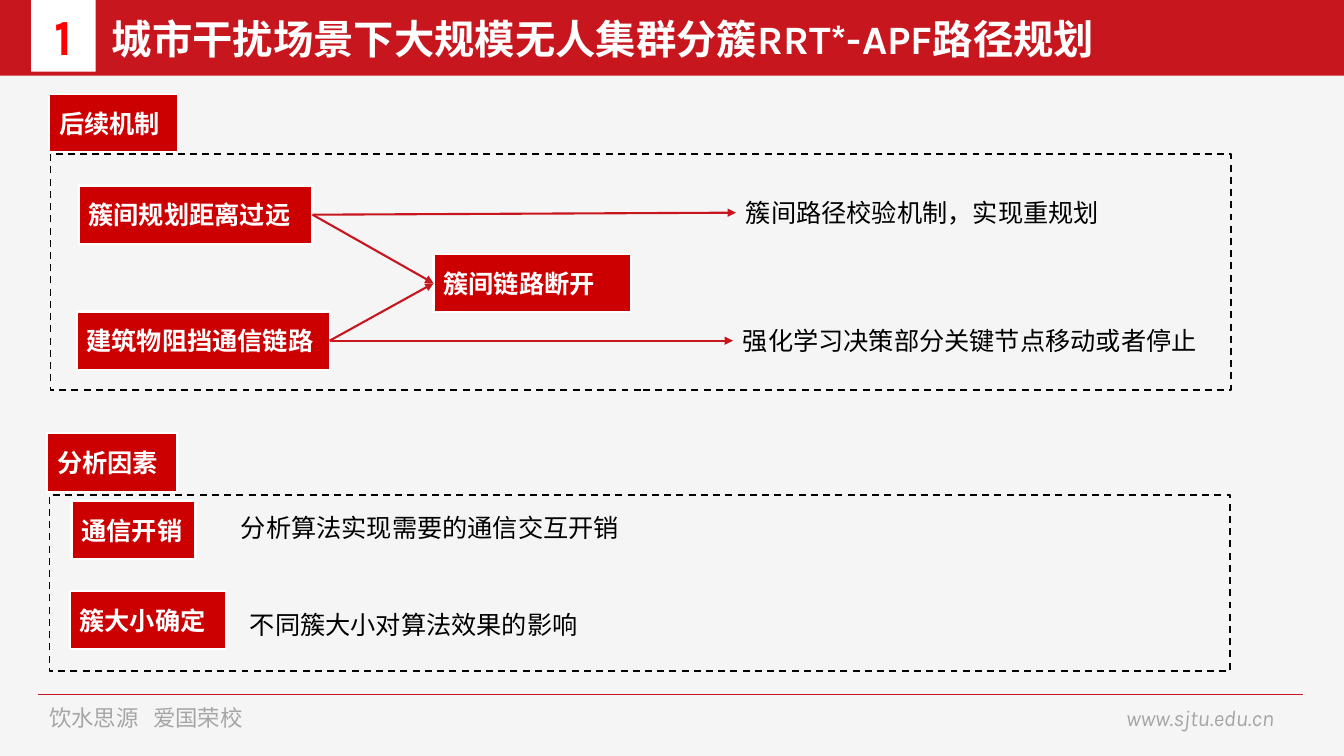
from lxml import etree
from pptx import Presentation
from pptx.dml.color import RGBColor
from pptx.enum.dml import MSO_LINE_DASH_STYLE as DASH
from pptx.enum.shapes import MSO_CONNECTOR, MSO_SHAPE
from pptx.enum.text import MSO_ANCHOR, MSO_AUTO_SIZE, PP_ALIGN
from pptx.oxml.ns import qn
from pptx.util import Inches, Pt

COLORS = {
    "background": "F5F5F5",
    "banner": "C8161E",
    "label": "CC0000",
    "number": "FF0000",
    "white": "FFFFFF",
    "black": "000000",
    "grey": "A6A6A6",
}
FONT = "Karla"
TITLE_ONLY = 5
LABEL_H, NOTE_H, FOOTER_H = 0.58, 0.4, 0.37
TOP, LEFT, BOTTOM, RIGHT = range(4)


def color(name):
    return RGBColor.from_string(COLORS[name])


def write(shape, text, size, ink, align=PP_ALIGN.LEFT, anchor=MSO_ANCHOR.MIDDLE, **font):
    tf = shape.text_frame
    frame = {"word_wrap": True, "auto_size": MSO_AUTO_SIZE.NONE, "vertical_anchor": anchor}
    for key, value in frame.items():
        setattr(tf, key, value)
    p = tf.paragraphs[0]
    p.alignment = align
    r = p.add_run()
    r.text = text
    for key, value in {"size": Pt(size), "name": FONT, **font}.items():
        setattr(r.font, key, value)
    r.font.color.rgb = color(ink)
    latin = r.font._element.find(qn("a:latin"))
    east_asian = etree.Element(qn("a:ea"), typeface=FONT)
    latin.addnext(east_asian)
    return p


def add_box(s, x, y, w, h, fill=None, line=None, width=1.5, dash=None):
    sp = s.shapes.add_shape(MSO_SHAPE.RECTANGLE, *map(Inches, (x, y, w, h)))
    sp.shadow.inherit = False
    if fill:
        sp.fill.solid()
        sp.fill.fore_color.rgb = color(fill)
    else:
        sp.fill.background()
    if line:
        sp.line.color.rgb = color(line)
        sp.line.width = Pt(width)
        sp.line.dash_style = dash
    else:
        sp.line.fill.background()
    return sp


def add_label(s, text, x, y, w):
    sp = add_box(s, x, y, w, LABEL_H, "label", "white")
    write(sp, text, 18, "white", PP_ALIGN.JUSTIFY, bold=True)
    return sp


def add_frame(s, x, y, w, h):
    add_box(s, x, y, w, h, line="black", width=1.25, dash=DASH.DASH)


def add_note(s, text, x, y, w):
    tb = s.shapes.add_textbox(*map(Inches, (x, y, w, NOTE_H)))
    write(tb, text, 18, "black", anchor=MSO_ANCHOR.TOP)
    return tb


def add_footer(s, text, x, w, **font):
    tb = s.shapes.add_textbox(*map(Inches, (x, 6.93, w, FOOTER_H)))
    return write(tb, text, 16, "grey", **font)


def add_line(s, x1, y1, x2, y2, width):
    cn = s.shapes.add_connector(MSO_CONNECTOR.STRAIGHT, *map(Inches, (x1, y1, x2, y2)))
    cn.line.color.rgb = color("banner")
    cn.line.width = Pt(width)
    etree.SubElement(cn._element.spPr, qn("a:effectLst"))
    return cn


def add_arrow(s, source, target):
    cn = add_line(s, 0, 0, 1, 1, 1.5)
    cn.begin_connect(source, RIGHT)
    cn.end_connect(target, LEFT)
    ln = cn.line._get_or_add_ln()
    etree.SubElement(ln, qn("a:tailEnd"), type="triangle")


def add_tab_stop(p, position):
    tabs = etree.SubElement(p._p.get_or_add_pPr(), qn("a:tabLst"))
    etree.SubElement(tabs, qn("a:tab"), pos=str(Inches(position)), algn="l")


def main():
    prs = Presentation()
    prs.slide_width, prs.slide_height = Inches(13.33), Inches(7.5)
    s = prs.slides.add_slide(prs.slide_layouts[TITLE_ONLY])
    s.background.fill.solid()
    s.background.fill.fore_color.rgb = color("background")

    # Banner, title and section number
    banner = add_box(s, 0, 0, 13.33, 0.75, "banner")
    title = s.shapes.title
    banner._element.addnext(title._element)
    place = {"left": 1.01, "top": 0.09, "width": 11.02, "height": 0.59}
    for key, value in place.items():
        setattr(title, key, Inches(value))
    write(title, "城市干扰场景下大规模无人集群分簇RRT*-APF路径规划", 28.8, "white", bold=True)
    number = add_box(s, 0.31, 0, 0.64, 0.71, "white")
    write(number, "1", 36, "number", PP_ALIGN.CENTER, bold=True)

    # Footer
    add_line(s, 0.38, 6.89, 12.92, 6.89, 0.5)
    motto = add_footer(s, "饮水思源\t爱国荣校", 0.39, 2.43)
    add_tab_stop(motto, 1.03)
    add_footer(s, "www.sjtu.edu.cn", 11.07, 1.85, italic=True)

    # Follow-up mechanisms
    add_label(s, "后续机制", 0.49, 0.93, 1.28)
    add_frame(s, 0.5, 1.53, 11.71, 2.34)
    distance = add_label(s, "簇间规划距离过远", 0.78, 1.84, 2.32)
    blocked = add_label(s, "建筑物阻挡通信链路", 0.76, 3.09, 2.51)
    broken = add_label(s, "簇间链路断开", 4.3, 2.52, 1.96)
    replan = add_note(s, "簇间路径校验机制，实现重规划", 7.3, 1.91, 4.75)
    learning = add_note(s, "强化学习决策部分关键节点移动或者停止", 7.27, 3.18, 4.75)
    for source, target in ((distance, broken), (blocked, broken),
                           (distance, replan), (blocked, learning)):
        add_arrow(s, source, target)

    # Factors to analyse
    add_label(s, "分析因素", 0.47, 4.3, 1.29)
    add_frame(s, 0.49, 4.91, 11.71, 1.75)
    add_label(s, "通信开销", 0.71, 4.97, 1.23)
    add_note(s, "分析算法实现需要的通信交互开销", 2.29, 5.03, 3.99)
    add_label(s, "簇大小确定", 0.69, 5.86, 1.55)
    add_note(s, "不同簇大小对算法效果的影响", 2.38, 6, 3.48)

    prs.save("out.pptx")


if __name__ == "__main__":
    main()
